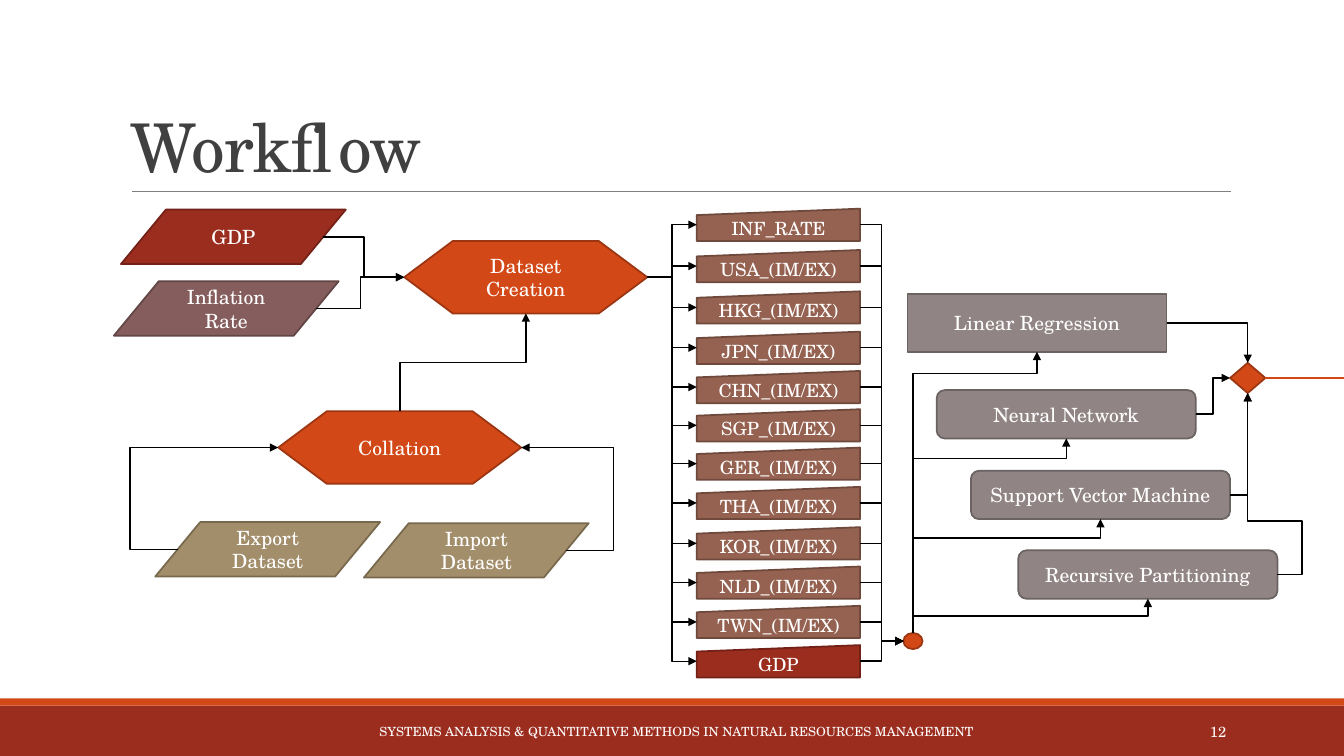
"""Build the Workflow slide: datasets feeding variables into four models."""
import math

import lxml.etree
import pptx
import pptx.dml.color
import pptx.enum.shapes
import pptx.enum.text
import pptx.oxml.ns
import pptx.util

Inches = pptx.util.Inches
Pt = pptx.util.Pt
qn = pptx.oxml.ns.qn
PRESET = pptx.enum.shapes.MSO_SHAPE
CONNECTOR = pptx.enum.shapes.MSO_CONNECTOR
ANCHOR = pptx.enum.text.MSO_ANCHOR
ALIGN = pptx.enum.text.PP_ALIGN
FONT = "TeX Gyre Schola"


def rgb(code):
    return pptx.dml.color.RGBColor.from_string(code)


def style_line(connector, color, width):
    connector.line.color.rgb = rgb(color)
    connector.line.width = Pt(width)
    lxml.etree.SubElement(connector._element.spPr, qn("a:effectLst"))


deck = pptx.Presentation()
deck.slide_width = Inches(13.33)
deck.slide_height = Inches(7.5)
slide = deck.slides.add_slide(deck.slide_layouts[6])
shapes = slide.shapes

for top, height, color in [(7, 0.5, "9B2D1F"), (6.93, 0.07, "D34817")]:
    band = shapes.add_shape(PRESET.RECTANGLE, 0, Inches(top), Inches(13.33), Inches(height))
    band.shadow.inherit = False
    band.fill.solid()
    band.fill.fore_color.rgb = rgb(color)
    band.line.fill.background()

title_rule = shapes.add_connector(CONNECTOR.STRAIGHT, Inches(1.31), Inches(1.9), Inches(12.21), Inches(1.9))
style_line(title_rule, "808080", 0.5)

captions = [
    ("Workflow", (1.2, 0.31, 11, 1.59), 48, "404040", ANCHOR.BOTTOM,
     {"alignment": ALIGN.LEFT, "line_spacing": 0.85}),
    ("SYSTEMS ANALYSIS & QUANTITATIVE METHODS IN NATURAL RESOURCES MANAGEMENT",
     (2.77, 7.06, 7.87, 0.4), 9, "FFFFFF", ANCHOR.MIDDLE, {"alignment": ALIGN.CENTER}),
    ("12", (10.83, 7.06, 1.43, 0.4), 10.5, "FFFFFF", ANCHOR.MIDDLE, {"alignment": ALIGN.RIGHT}),
]
for words, place, size, color, anchor, layout in captions:
    caption = shapes.add_textbox(*map(Inches, place))
    caption.text_frame.word_wrap = True
    caption.text_frame.vertical_anchor = anchor
    paragraph = caption.text_frame.paragraphs[0]
    for name, value in layout.items():
        setattr(paragraph, name, value)
    run = paragraph.add_run()
    run.text = words
    for name, value in {"name": FONT, "size": Pt(size)}.items():
        setattr(run.font, name, value)
    run.font.color.rgb = rgb(color)
    if words == "Workflow":
        run._r.get_or_add_rPr().set("spc", "-50")

INPUT = (PRESET.FLOWCHART_DATA, 2.23, 0.54, 14)
STEP = (PRESET.FLOWCHART_PREPARATION, 2.41, 0.72, 14)
VARIABLE = (PRESET.FLOWCHART_MANUAL_INPUT, 1.62, 0.32, 13)
REGRESSION = (PRESET.FLOWCHART_PROCESS, 2.57, 0.57, 14)
MODEL = (PRESET.FLOWCHART_ALTERNATE_PROCESS, 2.57, 0.48, 14)
HUB = (PRESET.FLOWCHART_CONNECTOR, 0.19, 0.16, 14)
DECISION = (PRESET.FLOWCHART_DECISION, 0.35, 0.3, 14)
RED, ORANGE = ("9B2D1F", "732117"), ("D34817", "9C3511")
MAUVE, SAND = ("855D5D", "624545"), ("A28E6A", "78694E")
BROWN, GREY = ("956251", "6E493C"), ("918485", "6B6262")

nodes = [
    ("inflation", "Inflation Rate", INPUT, MAUVE, 1.13, 2.79),
    ("creation", "Dataset Creation", STEP, ORANGE, 4.01, 2.39),
    ("import", "Import Dataset", INPUT, SAND, 3.61, 5.19),
    ("export", "Export Dataset", INPUT, SAND, 1.54, 5.18),
    ("collation", "Collation", STEP, ORANGE, 2.76, 4.08),
    ("gdp", "GDP", INPUT, RED, 1.2, 2.08),
    ("linear", "Linear Regression", REGRESSION, GREY, 9, 2.92),
    ("neural", "Neural Network", MODEL, GREY, 9.29, 3.87),
    ("vector", "Support Vector Machine", MODEL, GREY, 9.63, 4.67),
    ("recursive", "Recursive Partitioning", MODEL, GREY, 10.1, 5.46),
    ("hub", "", HUB, ORANGE, 8.96, 6.28),
    ("decision", "", DECISION, ORANGE, 12.2, 3.6),
]
countries = ["USA", "HKG", "JPN", "CHN", "SGP", "GER", "THA", "KOR", "NLD", "TWN"]
variables = ["INF_RATE", *(f"{country}_(IM/EX)" for country in countries), "GDP"]
variable_tops = [2.07, 2.48, 2.89, 3.29, 3.68, 4.06, 4.44, 4.83, 5.23, 5.62, 6.01, 6.4]
for variable, top in zip(variables, variable_tops):
    nodes.append((variable, variable, VARIABLE, RED if variable == "GDP" else BROWN, 6.91, top))

flow = {}
for key, label, (preset, width, height, size), (fill, outline), left, top in nodes:
    node = shapes.add_shape(preset, *map(Inches, (left, top, width, height)))
    node.shadow.inherit = False
    node.fill.solid()
    node.fill.fore_color.rgb = rgb(fill)
    node.line.color.rgb = rgb(outline)
    node.line.width = Pt(1.25)
    if label:
        node.text_frame.vertical_anchor = ANCHOR.MIDDLE
        paragraph = node.text_frame.paragraphs[0]
        paragraph.alignment = ALIGN.CENTER
        run = paragraph.add_run()
        run.text = label
        for name, value in {"name": FONT, "size": Pt(size)}.items():
            setattr(run.font, name, value)
        run.font.color.rgb = rgb("FFFFFF")
    flow[key] = node

SITES = {"top": (0, 0.5, 0), "left": (1, 0, 0.5), "bottom": (2, 0.5, 1), "right": (3, 1, 0.5)}
SPECIAL_SITES = {
    PRESET.FLOWCHART_DATA: {"left": (2, 0.1, 0.5), "right": (5, 0.9, 0.5)},
    PRESET.FLOWCHART_CONNECTOR: {"left": (2, 0, 0.5)},
}
links = [
    ("gdp", "right", "creation", "left", 3, 0, [0.5]),
    ("inflation", "right", "creation", "left", 3, 0, [0.5]),
    ("export", "left", "collation", "left", 3, 180, [-0.476]),
    ("import", "right", "collation", "right", 3, 0, [-1.053]),
    ("collation", "top", "creation", "bottom", 3, 90, [0.5]),
    ("hub", "top", "linear", "bottom", 3, 90, [0.922]),
    ("hub", "top", "neural", "bottom", 3, 90, [0.897]),
    ("hub", "top", "vector", "bottom", 3, 90, [0.833]),
    ("hub", "top", "recursive", "bottom", 3, 90, [0.5]),
    ("linear", "right", "decision", "top", 2, 0, []),
    ("neural", "right", "decision", "left", 3, 0, [0.5]),
    ("vector", "right", "decision", "bottom", 2, 0, []),
    ("recursive", "right", "decision", "bottom", 4, 0, [-0.825, 0.295]),
]
for variable in variables:
    links.append(("creation", "right", variable, "left", 3, 0, [0.5]))
    links.append((variable, "right", "hub", "left", 3, 0, [0.5]))

for source, exit_side, target, entry_side, bend_type, turn, bends in links:
    ends = []
    for key, side in [(source, exit_side), (target, entry_side)]:
        node = flow[key]
        site, across, down = SPECIAL_SITES.get(node.auto_shape_type, {}).get(side, SITES[side])
        ends.append((site, node.left + across * node.width, node.top + down * node.height))
    (exit_site, start_x, start_y), (entry_site, end_x, end_y) = ends
    center_x, center_y = (start_x + end_x) / 2, (start_y + end_y) / 2
    cos, sin = math.cos(math.radians(turn)), math.sin(math.radians(turn))
    half_x = (end_x - start_x) / 2 * cos + (end_y - start_y) / 2 * sin
    half_y = (end_y - start_y) / 2 * cos - (end_x - start_x) / 2 * sin

    arrow = shapes.add_connector(CONNECTOR.ELBOW, 0, 0, 0, 0)
    arrow.begin_connect(flow[source], 0)
    arrow.end_connect(flow[target], 0)
    span = {"begin_x": center_x - half_x, "begin_y": center_y - half_y,
            "end_x": center_x + half_x, "end_y": center_y + half_y}
    for name, value in span.items():
        setattr(arrow, name, round(value))
    joints = arrow._element.nvCxnSpPr.cNvCxnSpPr
    joints.stCxn.set("idx", str(exit_site))
    joints.endCxn.set("idx", str(entry_site))
    if turn:
        arrow._element.spPr.find(qn("a:xfrm")).set("rot", str(turn * 60000))
    geometry = arrow._element.spPr.find(qn("a:prstGeom"))
    geometry.set("prst", f"bentConnector{bend_type}")
    guides = geometry.find(qn("a:avLst"))
    if guides is None:
        guides = lxml.etree.SubElement(geometry, qn("a:avLst"))
    for number, bend in enumerate(bends, 1):
        lxml.etree.SubElement(guides, qn("a:gd"), name=f"adj{number}", fmla=f"val {round(bend * 100000)}")
    style_line(arrow, "000000", 1)
    lxml.etree.SubElement(arrow.line._get_or_add_ln(), qn("a:tailEnd"), type="triangle")

onward = shapes.add_connector(CONNECTOR.STRAIGHT, Inches(12.55), Inches(3.75), Inches(13.55), Inches(3.75))
onward.begin_connect(flow["decision"], 3)
style_line(onward, "D34817", 1)

deck.save("out.pptx")
